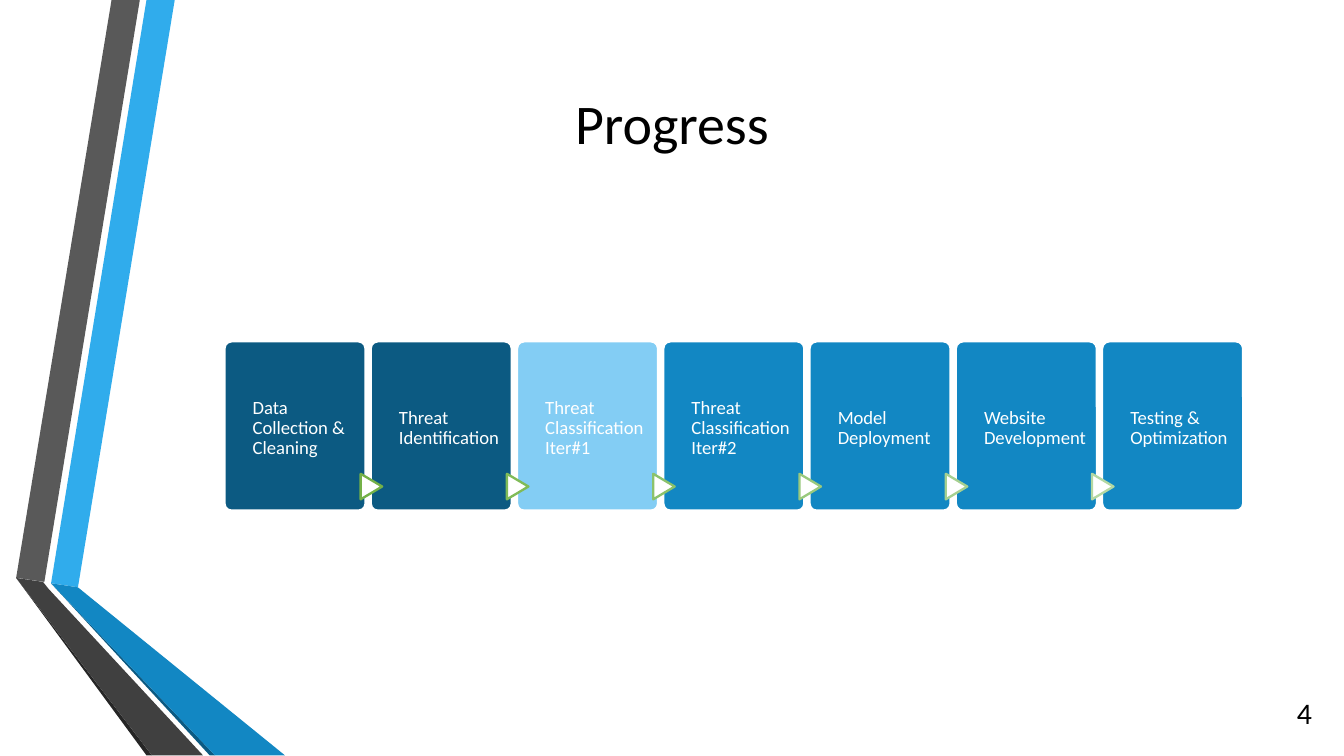
from pptx import Presentation
from pptx import util as u
from pptx.dml.color import RGBColor
from pptx.enum import shapes, text

PX = u.Inches(1) // 100
WIDTH = 1000
HEIGHT = WIDTH * 9 / 16

WHITE = RGBColor(0xFF, 0xFF, 0xFF)
BLACK = RGBColor(0x00, 0x00, 0x00)
SKY = RGBColor(0x30, 0xAC, 0xEC)
GRAY = RGBColor(0x59, 0x59, 0x59)
CHARCOAL = RGBColor(0x40, 0x40, 0x40)
DARK_GRAY = RGBColor(0x26, 0x26, 0x26)
DONE = RGBColor(0x0C, 0x5A, 0x82)
CURRENT = RGBColor(0x83, 0xCD, 0xF4)
PLANNED = RGBColor(0x12, 0x87, 0xC3)
GREENS = [
    RGBColor(0x74, 0xB1, 0x48), RGBColor(0x80, 0xBB, 0x58), RGBColor(0x8C, 0xC2, 0x6B),
    RGBColor(0x99, 0xC9, 0x7D), RGBColor(0xA6, 0xD0, 0x90), RGBColor(0xB4, 0xD8, 0xA2),
]

RIBBONS = [
    (SKY, [(26, 434), (46, 437), (118, 0), (97, 0)]),
    (GRAY, [(92, 0), (71, 0), (0, 430), (21, 433)]),
    (DARK_GRAY, [(0, 430), (97, HEIGHT), (101, HEIGHT)]),
    (DONE, [(26, 434), (144, HEIGHT), (148, HEIGHT)]),
    (PLANNED, [(26, 434), (148, HEIGHT), (200, HEIGHT), (46, 437)]),
    (CHARCOAL, [(139, HEIGHT), (24, 438), (20, 433), (0, 430), (101, HEIGHT)]),
]
STEPS = [
    ("Data Collection & Cleaning", DONE),
    ("Threat Identification", DONE),
    ("Threat Classification Iter#1", CURRENT),
    ("Threat Classification Iter#2", PLANNED),
    ("Model Deployment", PLANNED),
    ("Website Development", PLANNED),
    ("Testing & Optimization", PLANNED),
]


def px(*lengths):
    """Turn px lengths into EMU."""
    return [round(length * PX) for length in lengths]


def add_text(s, box, content, size=10, color=WHITE, align=text.PP_ALIGN.LEFT,
             anchor=text.MSO_ANCHOR.MIDDLE, insets=(10, 10, 10, 10), spacing=None):
    """Add a wrapped text box in the given format."""
    tf = s.shapes.add_textbox(*px(*box)).text_frame
    tf.word_wrap = True
    tf.vertical_anchor = anchor
    tf.margin_left, tf.margin_top, tf.margin_right, tf.margin_bottom = px(*insets)
    p = tf.paragraphs[0]
    p.alignment = align
    p.line_spacing = spacing
    r = p.add_run()
    r.text = content
    r.font.name = "Calibri"
    r.font.size = u.Pt(size)
    r.font.color.rgb = color


def add_shape(s, kind, box, fill, line):
    """Add a flat preset shape with a thin outline."""
    sp = s.shapes.add_shape(kind, *px(*box))
    sp.shadow.inherit = False
    sp.fill.solid()
    sp.fill.fore_color.rgb = fill
    sp.line.color.rgb = line
    sp.line.width = u.Pt(1.25)
    return sp


def add_ribbons(s, left, top):
    """Draw the folded ribbons from their top left corner."""
    for color, points in RIBBONS:
        corners = [(left + x, top + y) for x, y in points]
        builder = s.shapes.build_freeform(*corners[0], scale=PX)
        builder.add_line_segments(corners[1:], close=True)
        sp = builder.convert_to_shape()
        sp.shadow.inherit = False
        sp.fill.solid()
        sp.fill.fore_color.rgb = color
        sp.line.fill.background()


def add_process(s, left, top, width, height):
    """Spread the step cards across the box, with an arrow before each later card."""
    card = 105
    pitch = (width - card) / (len(STEPS) - 1)
    for i, (label, color) in enumerate(STEPS):
        x = left + i * pitch
        sp = add_shape(s, shapes.MSO_SHAPE.ROUNDED_RECTANGLE, (x, top, card, height), color, WHITE)
        sp.adjustments[0] = 0.05
        if i:
            arrow = add_shape(s, shapes.MSO_SHAPE.FLOWCHART_EXTRACT,
                              (x - 9, top + 100, 19, 16), WHITE, GREENS[i - 1])
            arrow.rotation = 90
        add_text(s, (x + 21, top, 78, height), label, insets=(0, 4, 0, 0), spacing=0.9)


def build():
    """Build and save the progress slide."""
    prs = Presentation()
    prs.slide_width, prs.slide_height = px(WIDTH, HEIGHT)
    s = prs.slides.add_slide(prs.slide_layouts[6])
    add_ribbons(s, 12, 0)
    add_process(s, 167, 254, 758, 126)
    add_text(s, (0, 56, WIDTH, 63), "Progress", size=30, color=BLACK,
             align=text.PP_ALIGN.CENTER, anchor=text.MSO_ANCHOR.TOP)
    add_text(s, (941, 515, 45, 30), "4", size=16, color=BLACK, align=text.PP_ALIGN.RIGHT)
    prs.save("out.pptx")


if __name__ == "__main__":
    build()
